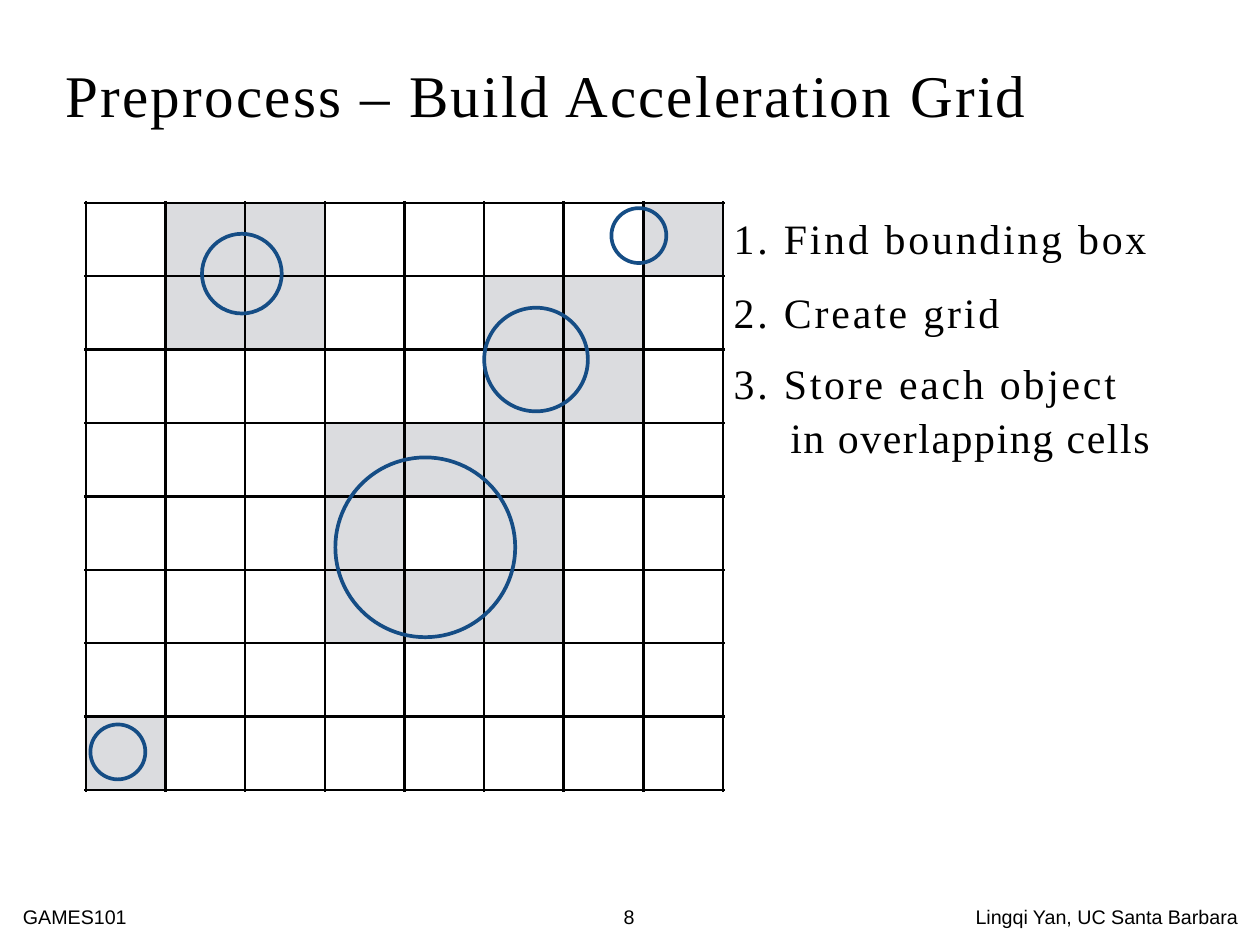
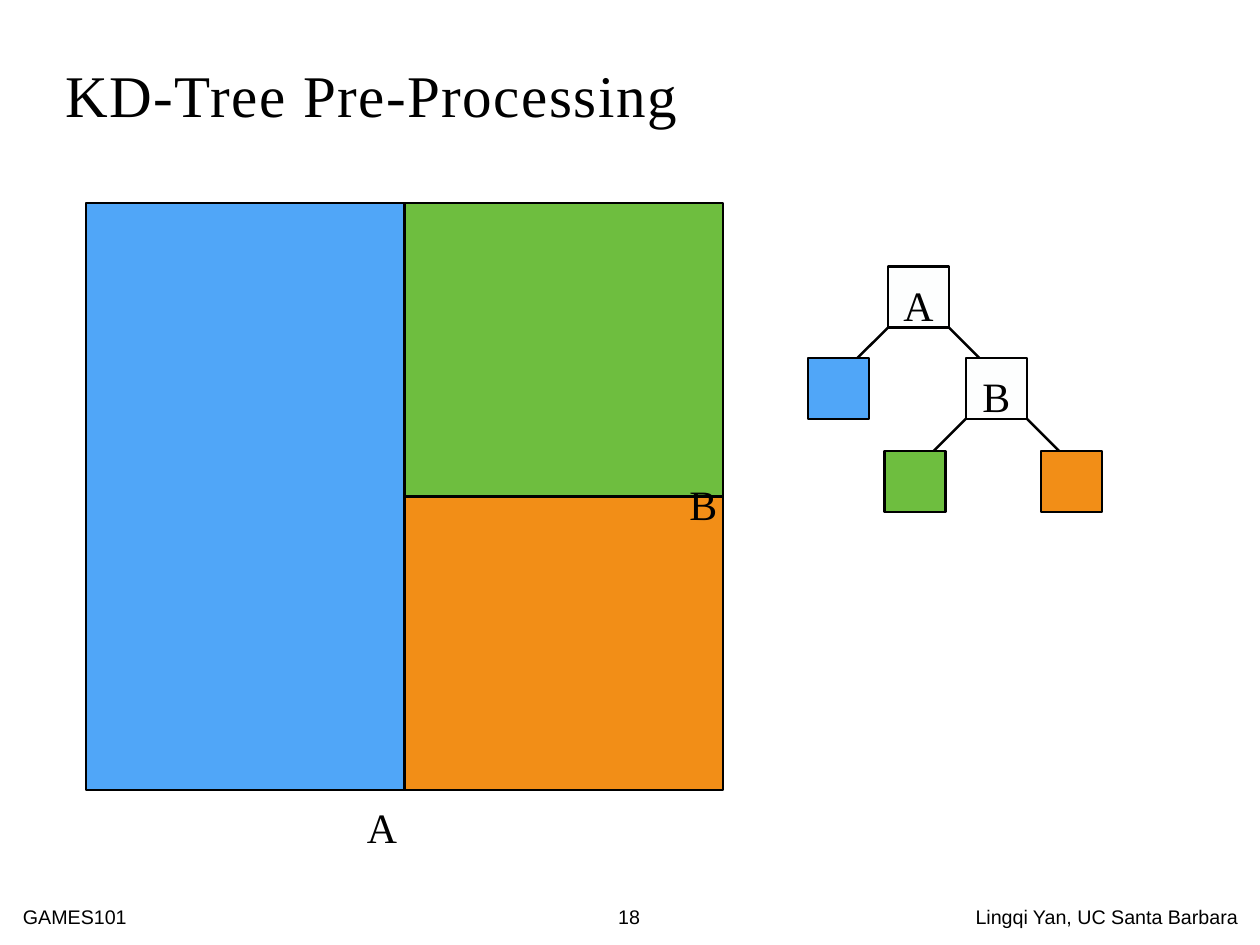
from pptx import Presentation
from pptx.util import Inches, Pt
from pptx.dml.color import RGBColor
from pptx.enum.shapes import MSO_SHAPE as Kind, MSO_CONNECTOR as Link
from pptx.enum.text import MSO_ANCHOR as Anchor, PP_ALIGN as Align
from pptx.oxml.ns import qn
from lxml.etree import SubElement

BLACK = RGBColor(0, 0, 0)
GRAY = RGBColor(0xDB, 0xDC, 0xDF)
NAVY = RGBColor(0x15, 0x4D, 0x85)
BLUE = RGBColor(0x50, 0xA6, 0xF8)
GREEN = RGBColor(0x6E, 0xBE, 0x3F)
ORANGE = RGBColor(0xF2, 0x8E, 0x17)
WHITE = RGBColor(0xFD, 0xFE, 0xFE)
SERIF, SANS = "Times New Roman", "Arial"

WIDE, HIGH = 14.22, 10.67
LEFT, TOP = 0.97, 2.29
COLS = ROWS = 8
CELL_W, CELL_H = 7.19 / COLS, 6.63 / ROWS
PAD = 0.02
NODE, REACH = 0.69, 0.99

TITLES = {8: ("Preprocess – Build Acceleration Grid", 1.83),
          18: ("KD-Tree Pre-Processing", 1.25)}
FOOT = "GAMES101\t{}\tLingqi Yan, UC Santa Barbara"
TABS = [(6.84, "ctr"), (10.75, "l")]

SHADED = {0: [1, 2, 7], 1: [1, 2, 5, 6], 2: [5, 6], 3: [3, 4, 5],
          4: [3, 5], 5: [3, 4, 5], 7: [0]}
BALLS = [(7.21, 2.66, 0.62), (1.33, 8.49, 0.62), (4.8, 6.18, 2.03),
         (2.73, 3.09, 0.9), (6.05, 4.06, 1.17)]
STEPS = [("1. Find bounding box", 2.3, 0, 0),
         ("2. Create grid", 2.35, 19.5, 0),
         ("3. Store each object", 2.3, 17, 0),
         ("in overlapping cells", 1.3, 3.3, 0.64)]

ZONES = [(0, 0, 4, 8, BLUE), (4, 0, 4, 4, GREEN), (4, 4, 4, 4, ORANGE)]
MARKS = [("B", 7.78, 5.4), ("A", 4.14, 9.05)]
NODES = [("A", 10.02, 3.01, WHITE), ("", 9.12, 4.04, BLUE),
         ("B", 10.9, 4.04, WHITE), ("", 9.98, 5.09, GREEN),
         ("", 11.75, 5.09, ORANGE)]


def style(para, size, face=SERIF, gap=0.0):
    for run in para.runs:
        run.font.size, run.font.name = Pt(size), face
        run.font.color.rgb = BLACK
        run._r.get_or_add_rPr().set("spc", str(round(gap * 100)))


def clear(frame):
    frame.margin_left = frame.margin_right = 0
    frame.margin_top = frame.margin_bottom = 0


def write(slide, text, x, y, w, h, size, face=SERIF, gap=0.0):
    frame = slide.shapes.add_textbox(*map(Inches, (x, y, w, h))).text_frame
    clear(frame)
    frame.word_wrap = True
    frame.text = text
    for para in frame.paragraphs:
        style(para, size, face, gap)
    return frame


def shape(slide, kind, x, y, w, h, fill=None, line=None, width=2):
    part = slide.shapes.add_shape(kind, *map(Inches, (x, y, w, h)))
    part.shadow.inherit = False
    if fill is None:
        part.fill.background()
    else:
        part.fill.solid()
        part.fill.fore_color.rgb = fill
    if line is None:
        part.line.fill.background()
    else:
        part.line.color.rgb = line
        part.line.width = Pt(width)
    return part


def rule(slide, *ends):
    line = slide.shapes.add_connector(Link.STRAIGHT, *map(Inches, ends))
    line.line.color.rgb = BLACK
    line.line.width = Pt(2)
    SubElement(line._element.spPr, qn("a:effectLst"))


def block(slide, col, row, cols, rows, fill, line=None):
    shape(slide, Kind.RECTANGLE, LEFT + col * CELL_W, TOP + row * CELL_H,
          cols * CELL_W, rows * CELL_H, fill, line)


def start(deck, num):
    slide = deck.slides.add_slide(deck.slide_layouts[6])
    text, gap = TITLES[num]
    write(slide, text, 0.74, 0.66, 12.28, 0.8, 48, gap=gap)
    foot = write(slide, FOOT.format(num), 0.26, 10.22, 13.86, 0.28, 16, SANS)
    tabs = SubElement(foot.paragraphs[0]._p.get_or_add_pPr(), qn("a:tabLst"))
    for pos, side in TABS:
        SubElement(tabs, qn("a:tab"), pos=str(Inches(pos)), algn=side)
    return slide


def grid(deck):
    slide = start(deck, 8)
    for row, cols in SHADED.items():
        for col in cols:
            block(slide, col, row, 1, 1, GRAY)
    right, base = LEFT + COLS * CELL_W, TOP + ROWS * CELL_H
    for col in range(COLS + 1):
        x = LEFT + col * CELL_W
        rule(slide, x, TOP - PAD, x, base + PAD)
    for row in range(ROWS + 1):
        y = TOP + row * CELL_H
        rule(slide, LEFT - PAD, y, right + PAD, y)
    for x, y, size in BALLS:
        shape(slide, Kind.OVAL, x - size / 2, y - size / 2, size, size,
              line=NAVY, width=3)
    text = "\n".join(step[0] for step in STEPS)
    frame = write(slide, text, 8.28, 2.4, 5.6, 2.8, 34)
    for para, (_, gap, lead, dent) in zip(frame.paragraphs, STEPS):
        style(para, 34, gap=gap)
        para.space_before = Pt(lead)
        para._p.get_or_add_pPr().set("marL", str(Inches(dent)))


def tree(deck):
    slide = start(deck, 18)
    for zone in ZONES:
        block(slide, *zone, BLACK)
    for name, x, y, _ in NODES:
        if name:
            mid, cen = x + NODE / 2, y + NODE / 2
            for side in (-1, 1):
                rule(slide, mid, cen, mid + side * REACH, cen + REACH)
    for name, x, y, fill in NODES:
        node = shape(slide, Kind.RECTANGLE, x, y, NODE, NODE, fill, BLACK)
        if name:
            frame = node.text_frame
            clear(frame)
            frame.margin_top = Inches(0.17)
            frame.vertical_anchor = Anchor.MIDDLE
            frame.text = name
            frame.paragraphs[0].alignment = Align.CENTER
            style(frame.paragraphs[0], 34)
    for name, x, y in MARKS:
        write(slide, name, x, y, 0.48, 0.54, 34)


def main():
    deck = Presentation()
    deck.slide_width, deck.slide_height = Inches(WIDE), Inches(HIGH)
    grid(deck)
    tree(deck)
    deck.save("out.pptx")


if __name__ == "__main__":
    main()
